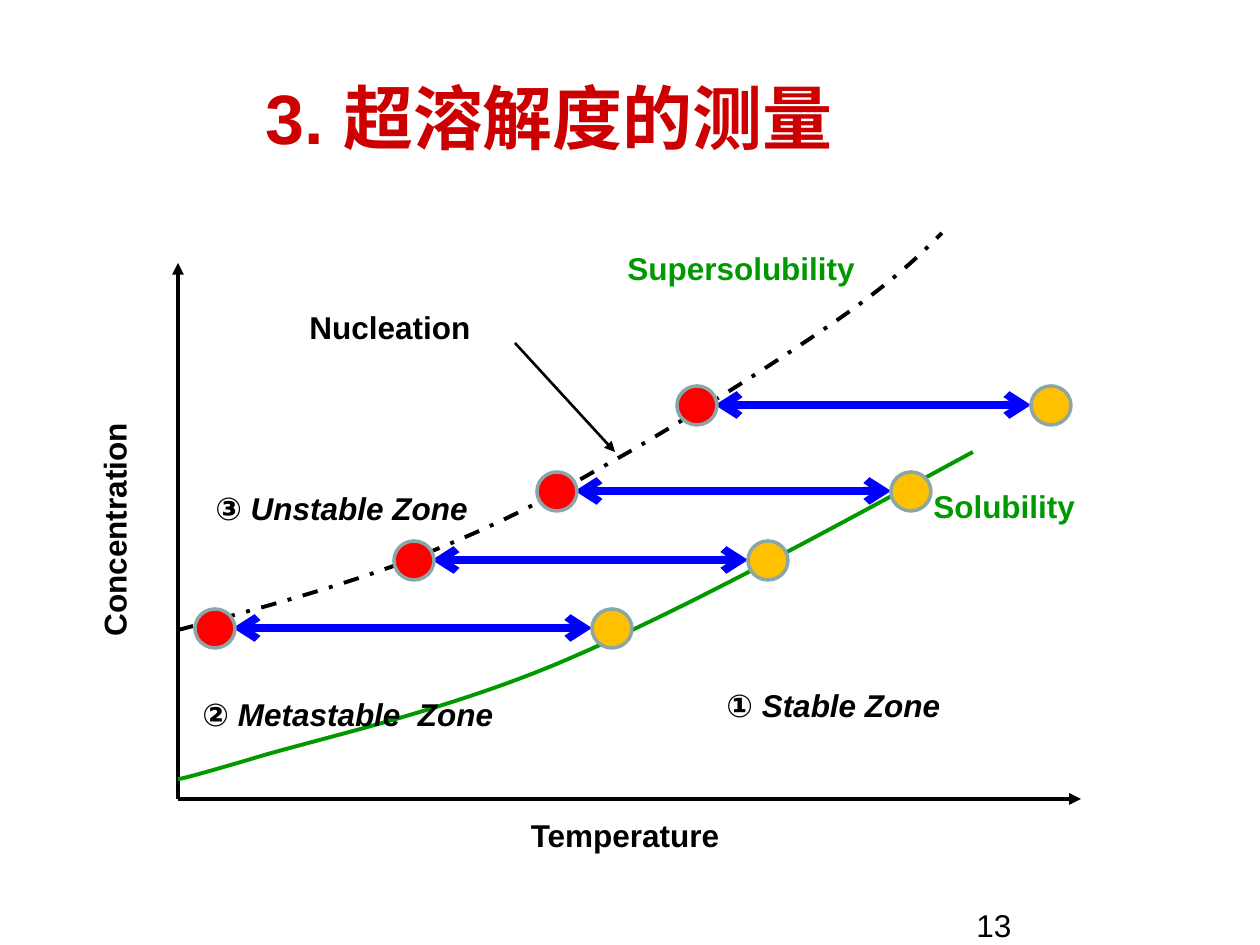
from lxml import etree
from pptx import Presentation
from pptx import util as u
from pptx.dml.color import RGBColor
from pptx.enum import dml, shapes, text
from pptx.oxml.ns import qn

EMU_PER_PX = 914400 / 126
BLACK, GREEN, BLUE, RED = "000000", "009900", "0000FF", "FF0000"
AMBER, GREY, TITLE_RED = "FFC000", "8AA6A8", "CC0000"
DOT_WIDTH, DOT_HEIGHT = 40, 39

SUPERSOLUBILITY = [
    (0, 367), (80, 346), (160, 324), (229, 298), (298, 271), (346, 249), (417, 208),
    (489, 169), (597, 100), (655, 60), (713, 20), (739, -5), (764, -30),
]
SOLUBILITY = [
    (0, 516), (2, 516), (5, 516), (70, 497), (134, 477),
    (267, 449), (388, 397), (507, 346), (651, 267), (795, 189),
]
COOLING_STEPS = [(359, 713, 209), (216, 570, 278), (17, 414, 346), (499, 853, 123)]
ZONES = [
    ("① Stable Zone", 536, 417, 307),
    ("② Metastable  Zone", 12, 426, 546),
    ("③ Unstable Zone", 25, 220, 517),
]
CURVE_NAMES = [
    ("Solubility", 743, 218, 176, GREEN),
    ("Supersolubility", 437, -20, 262, GREEN),
    ("Nucleation", 119, 39, 188, BLACK),
]


def px(value):
    """Turn pixels into EMU."""
    return u.Emu(round(value * EMU_PER_PX))


def color(value):
    """Turn a hex string into a colour."""
    return RGBColor.from_string(value)


def add_label(page, box, words, size=18, ink=BLACK, bold=True, italic=False,
              wrap=True, centered=False):
    """Place one paragraph of text in the box."""
    label = page.shapes.add_textbox(*map(px, box))
    frame = label.text_frame
    frame.word_wrap = wrap
    para = frame.paragraphs[0]
    para.text = words
    para.alignment = text.PP_ALIGN.CENTER if centered else text.PP_ALIGN.LEFT
    para.font.name = "Arial"
    para.font.size = u.Pt(size)
    para.font.bold = bold
    para.font.italic = italic
    para.font.color.rgb = color(ink)
    return label


def add_arrow(page, start, end, ink, width, **heads):
    """Draw a straight arrow with the given head types."""
    arrow = page.shapes.add_connector(
        shapes.MSO_CONNECTOR.STRAIGHT, *map(px, start + end))
    arrow.line.color.rgb = color(ink)
    arrow.line.width = u.Pt(width)
    properties = arrow._element.spPr
    line = properties.find(qn("a:ln"))
    for name, kind in heads.items():
        etree.SubElement(line, qn(f"a:{name}"), type=kind)
    etree.SubElement(properties, qn("a:effectLst"))


def add_curve(page, points, ink, dash=None):
    """Draw a chain of cubic curves, three points to a piece."""
    builder = page.shapes.build_freeform(*points[0], scale=EMU_PER_PX)
    builder.add_line_segments(points[1:], close=False)
    curve = builder.convert_to_shape()
    segments = list(curve._element.iter(qn("a:lnTo")))
    for index in range(0, len(segments), 3):
        piece = etree.Element(qn("a:cubicBezTo"))
        segments[index].addprevious(piece)
        for segment in segments[index:index + 3]:
            piece.append(segment[0])
            segment.getparent().remove(segment)
    curve.shadow.inherit = False
    curve.fill.background()
    curve.line.color.rgb = color(ink)
    curve.line.width = u.Pt(2.25)
    if dash:
        curve.line.dash_style = dash


def add_dot(page, left, top, fill):
    """Draw one measured point."""
    dot = page.shapes.add_shape(
        shapes.MSO_SHAPE.OVAL, *map(px, (left, top, DOT_WIDTH, DOT_HEIGHT)))
    dot.shadow.inherit = False
    dot.fill.solid()
    dot.fill.fore_color.rgb = color(fill)
    dot.line.color.rgb = color(GREY)
    dot.line.width = u.Pt(2)


def add_cooling_step(page, red_left, amber_left, top):
    """Join a nucleation point to its starting point."""
    middle = top + 19
    add_arrow(page, (amber_left, middle), (red_left + DOT_WIDTH - 2, middle), BLUE, 4.5,
              headEnd="arrow", tailEnd="arrow")
    add_dot(page, red_left, top, RED)
    add_dot(page, amber_left, top, AMBER)


def add_diagram(page, box):
    """Draw the concentration and temperature diagram in the box."""
    left, top, width, height = box

    def at(x, y):
        return left + x, top + y

    for end in (at(width, height), at(0, 0)):
        add_arrow(page, at(0, height), end, BLACK, 2.25, tailEnd="triangle")
    add_curve(page, [at(*point) for point in SUPERSOLUBILITY], BLACK,
              dml.MSO_LINE.DASH_DOT)
    add_curve(page, [at(*point) for point in SOLUBILITY], GREEN)
    for words, x, y, wide in ZONES:
        add_label(page, (*at(x, y), wide, 50), words, italic=True)
    vertical = add_label(page, (*at(-89, 159), 63, 227), "Concentration",
                         wrap=False, centered=True)
    vertical.rotation = 180
    vertical.text_frame._txBody.bodyPr.set("vert", "eaVert")
    add_label(page, (*at(323, 547), 248, 50), "Temperature", centered=True)
    for words, x, y, wide, ink in CURVE_NAMES:
        add_label(page, (*at(x, y), wide, 50), words, ink=ink, wrap=False)
    add_arrow(page, at(337, 80), at(437, 189), BLACK, 1.5, tailEnd="triangle")
    for red_x, amber_x, y in COOLING_STEPS:
        add_cooling_step(page, left + red_x, left + amber_x, top + y)


def add_title(page, box):
    """Place the slide title in the box."""
    title = add_label(page, box, "3. 超溶解度的测量", size=40, ink=TITLE_RED)
    title.text_frame.vertical_anchor = text.MSO_ANCHOR.MIDDLE


def main():
    """Build and save the deck."""
    deck = Presentation()
    deck.slide_width, deck.slide_height = px(1260), px(945)
    page = deck.slides.add_slide(deck.slide_layouts[6])
    add_label(page, (964, 900, 294, 66), "13", bold=False)
    add_diagram(page, (178, 263, 903, 536))
    add_title(page, (253, 38, 944, 158))
    deck.save("out.pptx")


if __name__ == "__main__":
    main()
